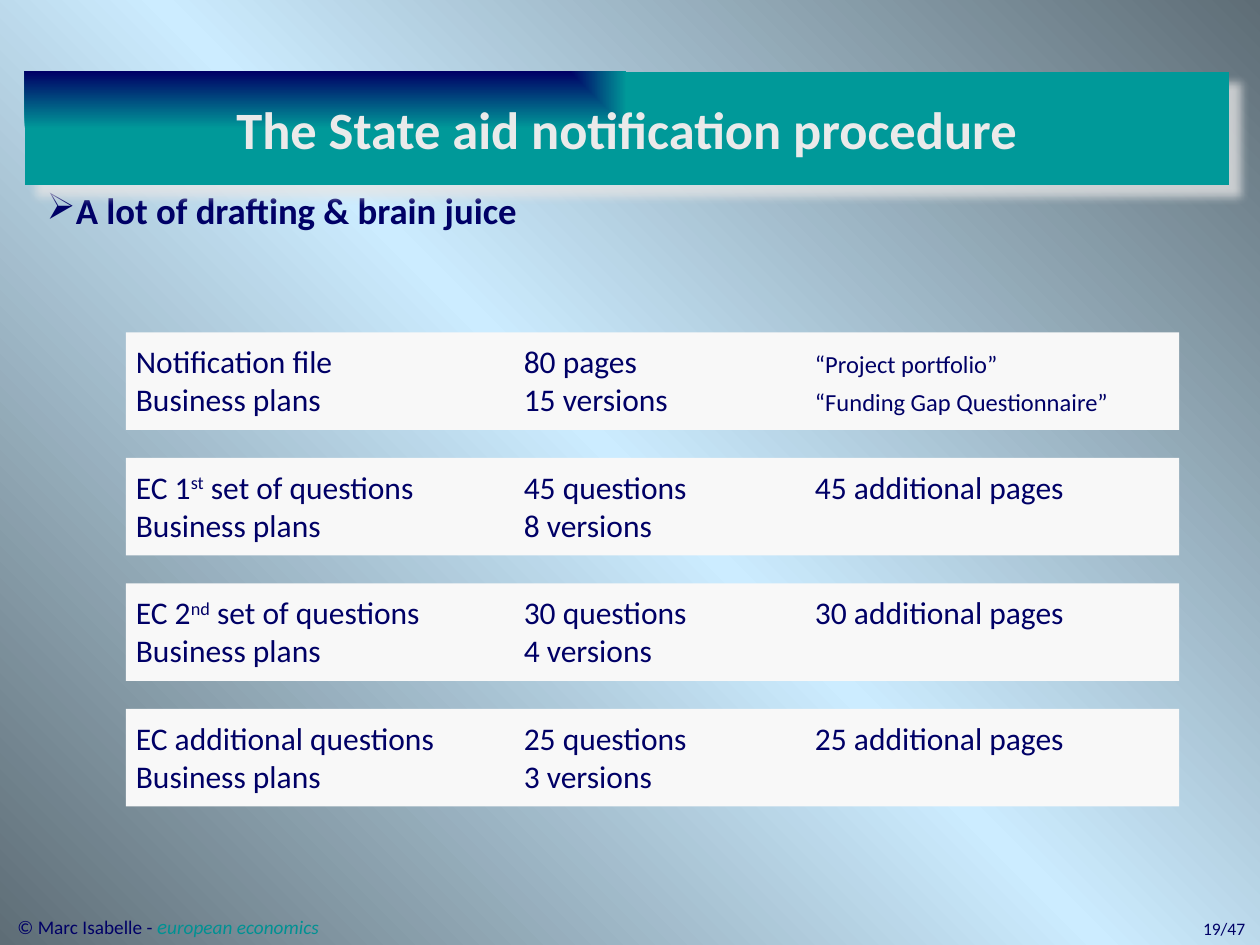
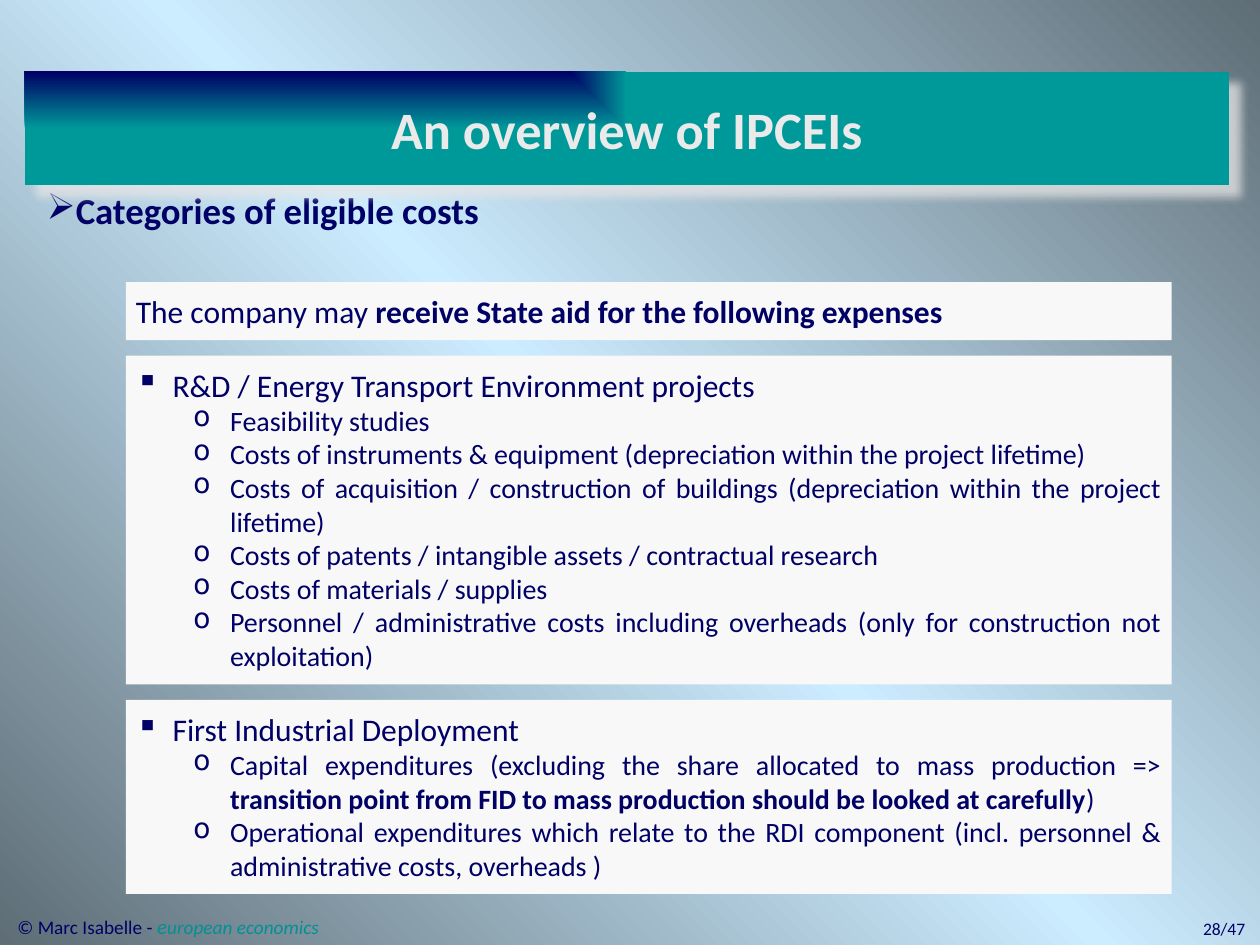
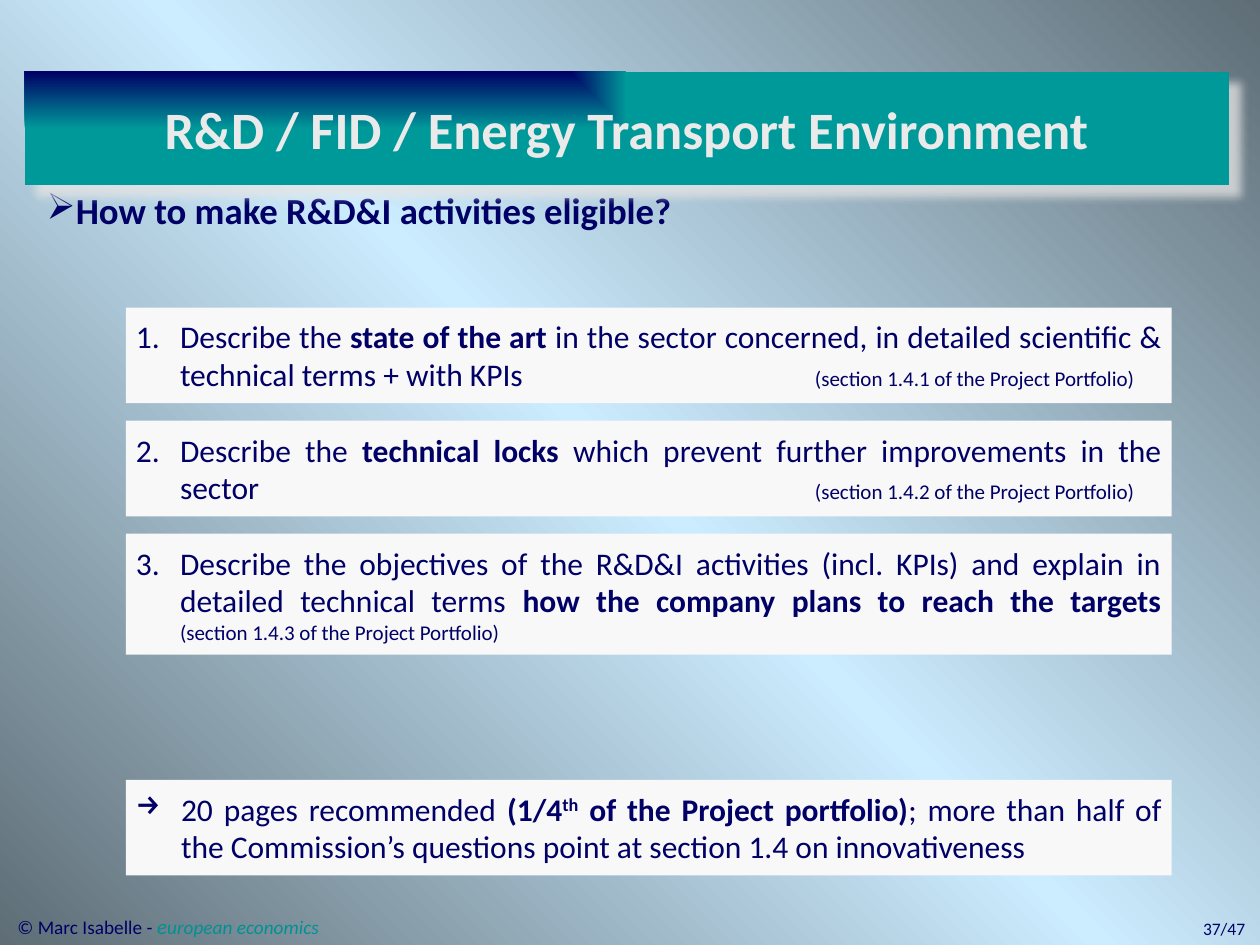
from lxml import etree
from pptx import Presentation
from pptx.dml.color import RGBColor
from pptx.enum.shapes import MSO_SHAPE
from pptx.enum.text import MSO_ANCHOR, PP_ALIGN
from pptx.oxml import parse_xml
from pptx.oxml.ns import qn
from pptx.util import Cm, Pt

RECTANGLE = MSO_SHAPE.RECTANGLE
TOP, MIDDLE = MSO_ANCHOR.TOP, MSO_ANCHOR.MIDDLE
LEFT, CENTER, RIGHT, JUSTIFY = PP_ALIGN.LEFT, PP_ALIGN.CENTER, PP_ALIGN.RIGHT, PP_ALIGN.JUSTIFY

NAVY = RGBColor(0x00, 0x00, 0x66)
TEAL = RGBColor(0x00, 0x99, 0x99)
GREEN = RGBColor(0x00, 0x91, 0x93)
STEEL = RGBColor(0x5E, 0x6D, 0x76)
SKY = RGBColor(0xCC, 0xEC, 0xFF)
PANEL = RGBColor(0xF8, 0xF8, 0xF8)
TITLE_TEXT = RGBColor(0xEA, 0xEA, 0xEA)
SHADOW = RGBColor(0xE7, 0xE6, 0xE6)
FONT = "Calibri"
DRAWING = "http://schemas.openxmlformats.org/drawingml/2006/main"

PANEL_LEFT = 2.54
PANEL_INSET = 0.2
COLUMNS = (7.82, 13.69)
BOLD = {"bold": True}
RAISED = {"raised": True}
NOTE = {"size": 14}
REFERENCE = {"size": 12}

ROW = {"tabs": COLUMNS}
HEAD = {"bullet": "▪", "left": 0.74, "hanging": 0.74}
ITEM = {"bullet": "o", "left": 1.9, "hanging": 0.74, "size": 16}
ARROW = {"bullet": "→", "left": 0.91, "hanging": 0.91}
SUBTITLE = {"bullet": "➢", "left": 0.48, "hanging": 0.74, "line_spacing": 0.9,
            "size": 21, "bold": True}


def step(number):
    return {"number": number, "left": 0.89, "hanging": 0.89, "tabs": COLUMNS[1:]}


FOOTER = ["© Marc Isabelle - ",
          ("e", {"size": 12, "color": GREEN, "italic": True}),
          ("uropean economics", {"color": GREEN, "italic": True})]

PAGES = [
    {
        "title": "The State aid notification procedure",
        "subtitle": "A lot of drafting & brain juice",
        "number": "19/47",
        "width": 21.23,
        "stacks": [(6.7, 0.56, [
            (1.97, [(ROW, ["Notification file\t80 pages\t", ("“Project portfolio”", NOTE)]),
                    (ROW, ["Business plans\t15 versions\t",
                           ("“Funding Gap Questionnaire”", NOTE)])]),
            (1.97, [(ROW, ["EC 1", ("st", RAISED),
                           " set of questions\t45 questions\t45 additional pages"]),
                    (ROW, ["Business plans\t8 versions"])]),
            (1.97, [(ROW, ["EC 2", ("nd", RAISED),
                           " set of questions\t30 questions\t30 additional pages"]),
                    (ROW, ["Business plans\t4 versions"])]),
            (1.97, [(ROW, ["EC additional questions\t25 questions\t25 additional pages"]),
                    (ROW, ["Business plans\t3 versions"])]),
        ])],
    },
    {
        "title": "An overview of IPCEIs",
        "subtitle": "Categories of eligible costs",
        "number": "28/47",
        "width": 21.08,
        "stacks": [(5.69, 0.31, [
            (1.17, [({}, ["The company may ",
                          ("receive State aid for the following expenses", BOLD)])]),
            (6.63, [
                (HEAD, ["R&D / Energy Transport Environment projects"]),
                (ITEM, ["Feasibility studies"]),
                (ITEM, ["Costs of instruments & equipment "
                        "(depreciation within the project lifetime)"]),
                (ITEM, ["Costs of acquisition / construction of buildings "
                        "(depreciation within the project lifetime)"]),
                (ITEM, ["Costs of patents / intangible assets / contractual research"]),
                (ITEM, ["Costs of materials / supplies"]),
                (ITEM, ["Personnel / administrative costs including overheads "
                        "(only for construction not exploitation)"]),
            ]),
            (3.91, [
                (HEAD, ["First Industrial Deployment"]),
                (ITEM, ["Capital expenditures (excluding the share allocated "
                        "to mass production => ",
                        ("transition point from FID to mass production "
                         "should be looked at carefully", BOLD), ")"]),
                (ITEM, ["Operational expenditures which relate to the RDI component "
                        "(incl. personnel & administrative costs, overheads )"]),
            ]),
        ])],
    },
    {
        "title": "R&D / FID / Energy Transport Environment",
        "subtitle": "How to make R&D&I activities eligible?",
        "number": "37/47",
        "width": 21.08,
        "stacks": [
            (6.2, 0.35, [
                (1.93, [(step(1), ["Describe the ", ("state of the art", BOLD),
                                   " in the sector concerned, in detailed scientific & "
                                   "technical terms + with KPIs",
                                   ("\t(section 1.4.1 of the Project Portfolio)", REFERENCE)])]),
                (1.93, [(step(2), ["Describe the ", ("technical locks", BOLD),
                                   " which prevent further improvements in the sector",
                                   ("\t(section 1.4.2 of the Project Portfolio)", REFERENCE)])]),
                (2.44, [(step(3), ["Describe the objectives of the R&D&I activities (incl. KPIs) "
                                   "and explain in detailed technical terms ",
                                   ("how the company plans to reach the targets", BOLD), "\v",
                                   ("(section 1.4.3 of the Project Portfolio)", REFERENCE)])]),
            ]),
            (15.72, 0, [
                (1.93, [(ARROW, ["20 pages recommended ", ("(1/4", BOLD),
                                 ("th", {"bold": True, "raised": True}),
                                 (" of the Project portfolio)", BOLD),
                                 "; more than half of the Commission’s questions point at "
                                 "section 1.4 on innovativeness"])]),
            ]),
        ],
    },
]


def gradient(stops, direction):
    colours = "".join(f'<a:gs pos="{place * 1000}"><a:srgbClr val="{colour}"/></a:gs>'
                      for place, colour in stops)
    return parse_xml(f'<a:gradFill xmlns:a="{DRAWING}" rotWithShape="1">'
                     f'<a:gsLst>{colours}</a:gsLst>{direction}</a:gradFill>')


def add_span(para, text, size=18, color=NAVY, bold=False, italic=False, raised=False):
    if text == "\v":
        para.add_line_break()
        return
    span = para.add_run()
    span.text = text
    font = span.font
    font.name, font.size, font.color.rgb = FONT, Pt(size), color
    font.bold, font.italic = bold, italic
    if raised:
        span._r.get_or_add_rPr().set("baseline", "30000")


def write(para, spans, align=JUSTIFY, bullet=None, number=None, left=0, hanging=0,
          tabs=(), line_spacing=None, **base):
    para.alignment = align
    if line_spacing:
        para.line_spacing = line_spacing
    properties = para._p.get_or_add_pPr()
    if bullet or number:
        properties.set("marL", str(Cm(left)))
        properties.set("indent", str(-Cm(hanging)))
    if bullet:
        etree.SubElement(properties, qn("a:buChar"), char=bullet)
    if number:
        etree.SubElement(properties, qn("a:buAutoNum"), type="arabicPeriod", startAt=str(number))
    if tabs:
        stops = etree.SubElement(properties, qn("a:tabLst"))
        for place in tabs:
            etree.SubElement(stops, qn("a:tab"), pos=str(Cm(place)), algn="l")
    for span in spans:
        text, changes = (span, {}) if isinstance(span, str) else span
        add_span(para, text, **{**base, **changes})


def fill_frame(box, paragraphs, inset=None, anchor=TOP, wrap=True):
    frame = box.text_frame
    frame.word_wrap = wrap
    frame.vertical_anchor = anchor
    if inset is not None:
        frame.margin_left = frame.margin_right = Cm(inset)
        frame.margin_top = frame.margin_bottom = Cm(inset)
    for index, (style, spans) in enumerate(paragraphs):
        para = frame.add_paragraph() if index else frame.paragraphs[0]
        write(para, spans, **style)


def add_label(page, place, style, spans, wrap=True):
    box = page.shapes.add_textbox(*map(Cm, place))
    fill_frame(box, [(style, spans)], wrap=wrap)


def add_panel(page, place, paragraphs, inset, anchor=TOP):
    box = page.shapes.add_shape(RECTANGLE, *map(Cm, place))
    box.shadow.inherit = False
    box.fill.solid()
    box.fill.fore_color.rgb = PANEL
    box.line.fill.background()
    fill_frame(box, paragraphs, inset, anchor)
    return box


def add_title(page, title):
    style = {"align": CENTER, "size": 30, "color": TITLE_TEXT, "bold": True}
    band = add_panel(page, (0.5, 1.45, 24.28, 2.29), [(style, [title])], 0.5, MIDDLE)
    properties = band._element.spPr
    corner = '<a:path path="rect"><a:fillToRect r="100000" b="100000"/></a:path>'
    properties.replace(properties.find(qn("a:solidFill")),
                       gradient([(0, NAVY), (100, TEAL)], corner))
    properties.find(qn("a:effectLst")).append(parse_xml(
        f'<a:outerShdw xmlns:a="{DRAWING}" blurRad="{Pt(5)}" dist="{Pt(8.5)}" dir="2700000" '
        f'algn="tl" rotWithShape="0"><a:srgbClr val="{SHADOW}"><a:alpha val="75000"/>'
        '</a:srgbClr></a:outerShdw>'))


def paint_background(page):
    page.background.fill.solid()
    properties = page._element.cSld.find(qn("p:bg")).find(qn("p:bgPr"))
    properties.replace(properties.find(qn("a:solidFill")),
                       gradient([(0, STEEL), (50, SKY), (100, STEEL)],
                                '<a:lin ang="18900000" scaled="0"/>'))


def add_page(deck, content):
    page = deck.slides.add_slide(deck.slide_layouts[6])
    paint_background(page)
    add_label(page, (22.33, 18.39, 3.02, 0.69), {"align": RIGHT, "size": 10}, [content["number"]])
    add_label(page, (0.69, 3.76, 22.99, 13.39), SUBTITLE, [content["subtitle"]])
    add_label(page, (0.1, 18.29, 6.63, 0.76), {"align": LEFT, "size": 11}, FOOTER, wrap=False)
    add_title(page, content["title"])
    for top, gap, panels in content["stacks"]:
        for height, paragraphs in panels:
            add_panel(page, (PANEL_LEFT, top, content["width"], height), paragraphs, PANEL_INSET)
            top += height + gap


def main():
    deck = Presentation()
    deck.slide_width, deck.slide_height = Cm(25.4), Cm(19.05)
    for content in PAGES:
        add_page(deck, content)
    deck.save("out.pptx")


if __name__ == "__main__":
    main()
